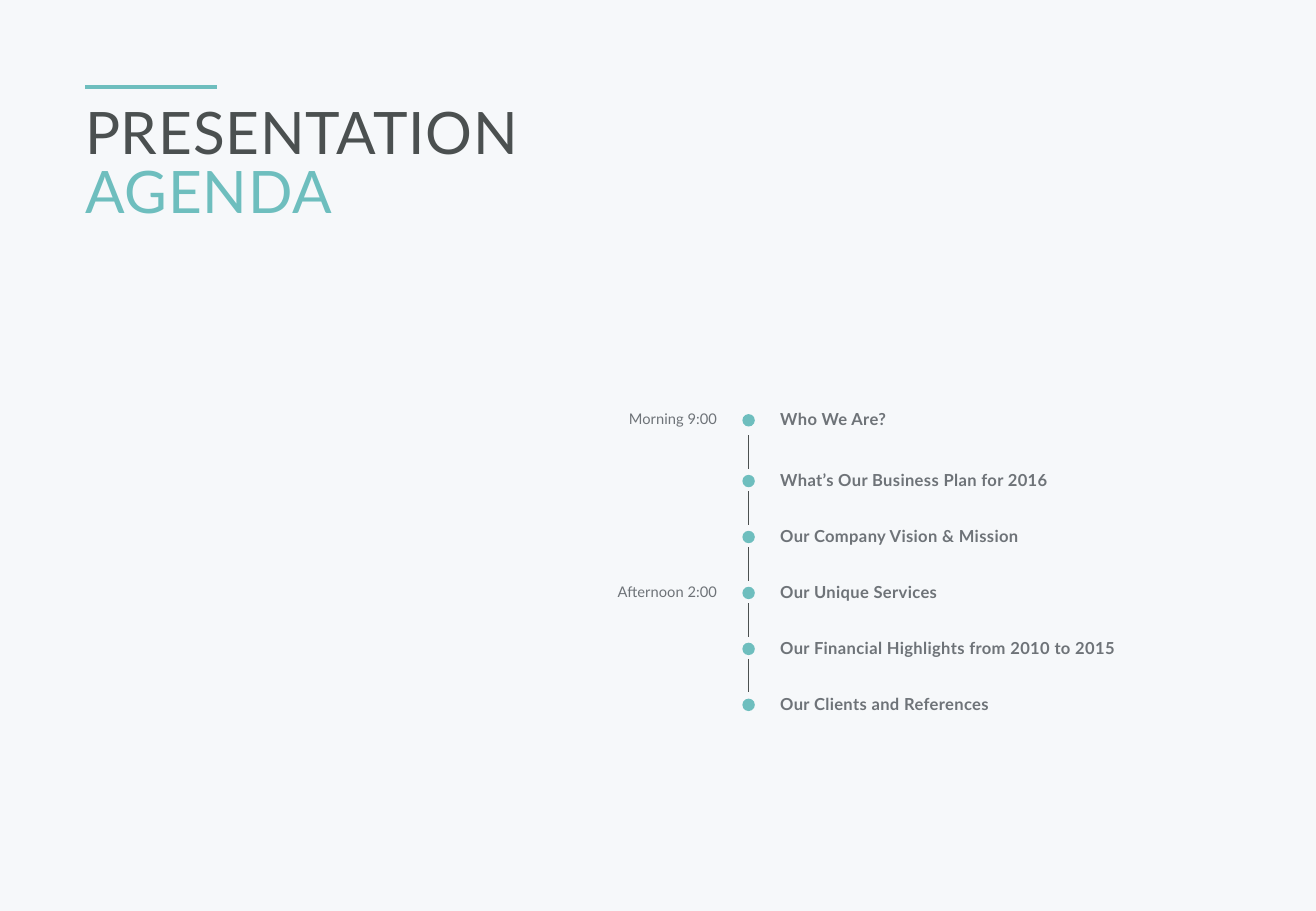
from dataclasses import dataclass
from itertools import pairwise

from lxml.etree import SubElement
from pptx import Presentation
from pptx.dml.color import RGBColor
from pptx.enum.shapes import MSO_CONNECTOR, MSO_SHAPE
from pptx.enum.text import MSO_AUTO_SIZE, PP_ALIGN
from pptx.oxml.ns import qn
from pptx.util import Cm, Pt


@dataclass(frozen=True)
class Theme:
    font: str = "Lato"
    background: RGBColor = RGBColor(0xF6, 0xF8, 0xFA)
    accent: RGBColor = RGBColor(0x6E, 0xBE, 0xBE)
    dark: RGBColor = RGBColor(0x4B, 0x50, 0x50)
    grey: RGBColor = RGBColor(0x6E, 0x73, 0x78)
    title_size: float = 34.7
    topic_size: float = 9.8
    time_size: float = 8.7


THEME = Theme()

# Agenda rows: time of day (if any) and topic
AGENDA = [
    ("Morning 9:00", "Who We Are?"),
    ("", "What’s Our Business Plan for 2016"),
    ("", "Our Company Vision & Mission"),
    ("Afternoon 2:00", "Our Unique Services"),
    ("", "Our Financial Highlights from 2010 to 2015"),
    ("", "Our Clients and References"),
]

# Timeline geometry in centimetres; the first gap is wider than the others
FIRST_TOP, SECOND_TOP, ROW_PITCH = 8.56, 9.83, 1.17
ROW_TOPS = [FIRST_TOP] + [SECOND_TOP + ROW_PITCH * row for row in range(len(AGENDA) - 1)]
AXIS_X = 15.65
DOT_SIZE = 0.26
LINK_LENGTH = 0.7


def add_text_box(slide, left, top, width, height):
    """Add a text box without margins and return its text frame."""
    frame = slide.shapes.add_textbox(Cm(left), Cm(top), Cm(width), Cm(height)).text_frame
    frame.margin_left = frame.margin_top = frame.margin_right = frame.margin_bottom = 0
    frame.word_wrap = True
    frame.auto_size = MSO_AUTO_SIZE.SHAPE_TO_FIT_TEXT
    return frame


def write_text(paragraph, text, *, size, color, bold=False, spacing=0,
               align=PP_ALIGN.LEFT, line_height=None):
    """Write formatted text; spacing is in hundredths of a point."""
    paragraph.alignment = align
    if line_height:
        paragraph.line_spacing = Pt(line_height)
    run = paragraph.add_run()
    run.text = text
    run.font.name = THEME.font
    run.font.size = Pt(size)
    run.font.bold = bold
    run.font.color.rgb = color
    if spacing:
        run._r.get_or_add_rPr().set("spc", str(spacing))


def add_line(slide, start, end, color, width):
    line = slide.shapes.add_connector(MSO_CONNECTOR.STRAIGHT, *map(Cm, start + end))
    line.line.color.rgb = color
    line.line.width = Pt(width)
    SubElement(line._element.spPr, qn("a:effectLst"))


def add_dot(slide, center_x, top):
    dot = slide.shapes.add_shape(
        MSO_SHAPE.OVAL, Cm(center_x - DOT_SIZE / 2), Cm(top), Cm(DOT_SIZE), Cm(DOT_SIZE))
    dot.shadow.inherit = False
    dot.fill.solid()
    dot.fill.fore_color.rgb = THEME.accent
    dot.line.fill.background()


def add_title(slide):
    add_line(slide, (1.78, 1.82), (4.54, 1.82), THEME.accent, 2.25)
    frame = add_text_box(slide, 1.78, 2.26, 23.95, 2.49)
    title_format = dict(size=THEME.title_size, line_height=THEME.title_size, spacing=50)
    write_text(frame.paragraphs[0], "PRESENTATION", color=THEME.dark, **title_format)
    write_text(frame.add_paragraph(), "AGENDA", color=THEME.accent, **title_format)


def add_agenda(slide):
    # Times, dots and topics
    for top, (time, topic) in zip(ROW_TOPS, AGENDA):
        if time:
            frame = add_text_box(slide, 12.14, top + 0.02, 2.85, 0.38)
            write_text(frame.paragraphs[0], time, size=THEME.time_size,
                       color=THEME.grey, align=PP_ALIGN.RIGHT)
        add_dot(slide, AXIS_X, top + 0.1)
        frame = add_text_box(slide, 16.31, top, 9.42, 0.41)
        write_text(frame.paragraphs[0], topic, size=THEME.topic_size,
                   color=THEME.grey, bold=True, spacing=20)

    # Links, each ending just above the next row
    for _, next_top in pairwise(ROW_TOPS):
        end = next_top - 0.03
        add_line(slide, (AXIS_X, end - LINK_LENGTH), (AXIS_X, end), THEME.dark, 0.75)


def main():
    presentation = Presentation()
    presentation.slide_width = Cm(27.51)
    presentation.slide_height = Cm(19.05)
    slide = presentation.slides.add_slide(presentation.slide_layouts[6])
    slide.background.fill.solid()
    slide.background.fill.fore_color.rgb = THEME.background
    add_title(slide)
    add_agenda(slide)
    presentation.save("out.pptx")


if __name__ == "__main__":
    main()
